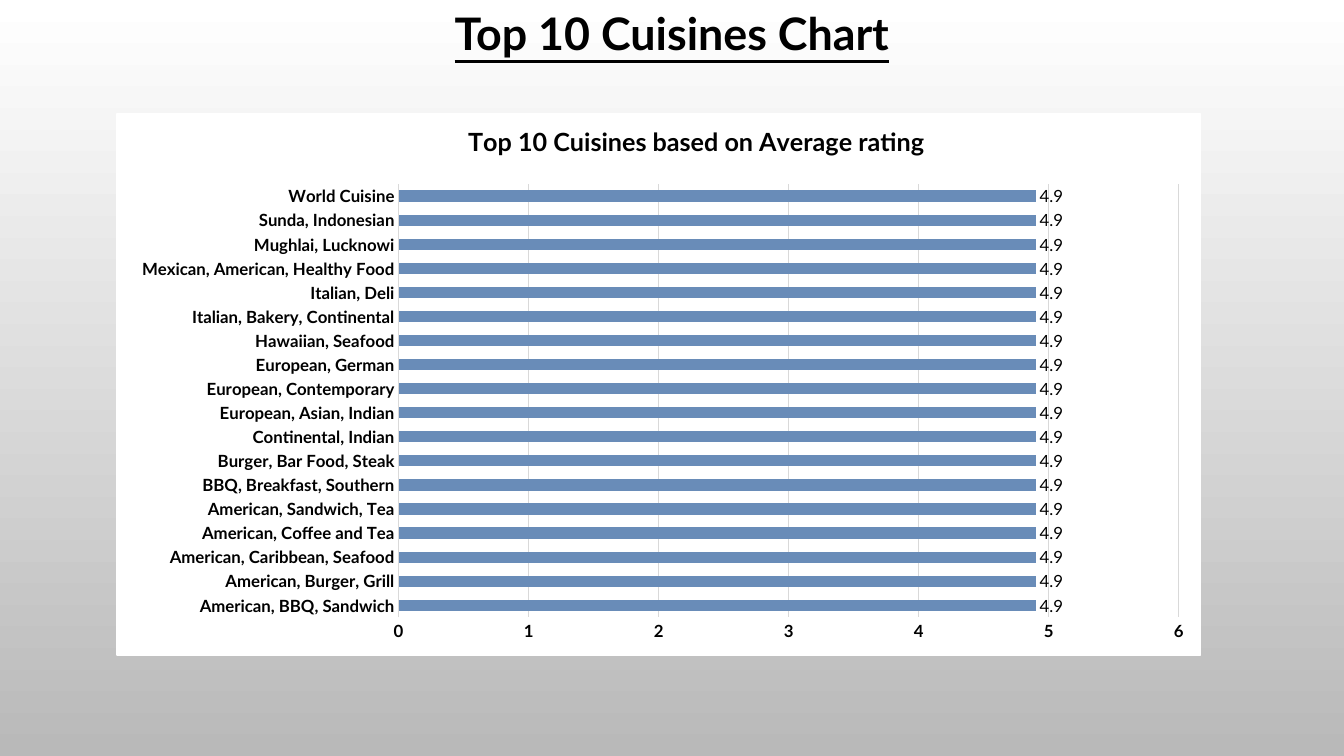
"""Build a slide with a bar chart of the best rated cuisines."""
from dataclasses import dataclass

import pptx
import pptx.chart.axis
import pptx.chart.data
import pptx.dml.color
import pptx.dml.fill
import pptx.enum.chart
import pptx.enum.text
import pptx.oxml
import pptx.oxml.ns
import pptx.oxml.xmlchemy
import pptx.slide
import pptx.text.text
import pptx.util

Pt = pptx.util.Pt
FACE = "Lato"
BLACK, WHITE, GREY, BLUE = "000000", "FFFFFF", "D9D9D9", "698CB8"
RATING = 4.9
FOODS = (
    "American, BBQ, Sandwich",
    "American, Burger, Grill",
    "American, Caribbean, Seafood",
    "American, Coffee and Tea",
    "American, Sandwich, Tea",
    "BBQ, Breakfast, Southern",
    "Burger, Bar Food, Steak",
    "Continental, Indian",
    "European, Asian, Indian",
    "European, Contemporary",
    "European, German",
    "Hawaiian, Seafood",
    "Italian, Bakery, Continental",
    "Italian, Deli",
    "Mexican, American, Healthy Food",
    "Mughlai, Lucknowi",
    "Sunda, Indonesian",
    "World Cuisine",
)


@dataclass(frozen=True)
class Scale:
    axis: pptx.chart.axis._BaseAxis
    grid: bool
    line: bool


@dataclass(frozen=True)
class Place:
    owner: str
    index: int
    box: dict[str, float]
    inner: bool = False


PLACES = (
    Place("c:chart/c:title", 1, {"x": 0.32, "y": 0.01}),
    Place("c:chart/c:plotArea", 0,
          {"x": 0.26, "y": 0.13, "w": 0.72, "h": 0.8}, True),
)


def hue(code: str) -> pptx.dml.color.RGBColor:
    return pptx.dml.color.RGBColor.from_string(code)


def paint(fill: pptx.dml.fill.FillFormat, code: str) -> None:
    fill.solid()
    fill.fore_color.rgb = hue(code)


def style(font: pptx.text.text.Font, size: float, bold: bool = False) -> None:
    font.name = FACE
    font.size = Pt(size)
    font.bold = bold
    font.color.rgb = hue(BLACK)


def draw_scale(scale: Scale) -> None:
    axis = scale.axis
    axis.major_tick_mark = axis.minor_tick_mark = pptx.enum.chart.XL_TICK_MARK.NONE
    style(axis.tick_labels.font, 12, True)
    axis.has_major_gridlines = scale.grid
    if scale.grid:
        rule = axis.major_gridlines.format.line
        paint(rule.fill, GREY)
        rule.width = Pt(0.75)
    if scale.line:
        paint(axis.format.line.fill, GREY)
        axis.format.line.width = Pt(1)
    else:
        axis.format.line.fill.background()


def set_place(root: pptx.oxml.xmlchemy.BaseOxmlElement, place: Place) -> None:
    owner = root.xpath(place.owner)[0]
    for old in owner.xpath("c:layout"):
        owner.remove(old)
    target = '<c:layoutTarget val="inner"/>' if place.inner else ""
    modes = "".join(f'<c:{k}Mode val="edge"/>' for k in "xy")
    sizes = "".join(f'<c:{k} val="{v}"/>' for k, v in place.box.items())
    owner.insert(place.index, pptx.oxml.parse_xml(
        f'<c:layout {pptx.oxml.ns.nsdecls("c")}><c:manualLayout>'
        f"{target}{modes}{sizes}</c:manualLayout></c:layout>"))


def set_panel(root: pptx.oxml.xmlchemy.BaseOxmlElement) -> None:
    fill = f'<a:solidFill><a:srgbClr val="{WHITE}"/></a:solidFill>'
    root.xpath("c:chart")[0].addnext(pptx.oxml.parse_xml(
        f'<c:spPr {pptx.oxml.ns.nsdecls("c", "a")}>{fill}'
        f'<a:ln w="{Pt(1.25)}">{fill}</a:ln></c:spPr>'))


def draw_head(slide: pptx.slide.Slide) -> None:
    head = slide.shapes.title
    head.left, head.top, head.width, head.height = Pt(0), Pt(0), Pt(960), Pt(46)
    frame = head.text_frame
    frame.text = "Top 10 Cuisines Chart"
    frame.vertical_anchor = pptx.enum.text.MSO_ANCHOR.MIDDLE
    frame.auto_size = pptx.enum.text.MSO_AUTO_SIZE.SHAPE_TO_FIT_TEXT
    line = frame.paragraphs[0]
    line.alignment = pptx.enum.text.PP_ALIGN.CENTER
    style(line.font, 32, True)
    line.font.underline = True


def draw_chart(slide: pptx.slide.Slide) -> None:
    data = pptx.chart.data.CategoryChartData()
    data.categories = FOODS
    data.add_series("Series 1", [RATING] * len(FOODS))
    chart = slide.shapes.add_chart(
        pptx.enum.chart.XL_CHART_TYPE.BAR_CLUSTERED,
        Pt(82.8), Pt(80.6), Pt(775.4), Pt(388.1), data).chart
    style(chart.font, 10)
    chart.has_legend = False
    chart.has_title = True
    title = chart.chart_title.text_frame
    title.text = "Top 10 Cuisines based on Average rating"
    style(title.paragraphs[0].font, 18, True)

    values = chart.value_axis
    values.minimum_scale, values.maximum_scale, values.major_unit = 0, 6, 1
    for scale in (Scale(chart.category_axis, False, True),
                  Scale(values, True, False)):
        draw_scale(scale)

    plot = chart.plots[0]
    plot.gap_width, plot.overlap = 115, -20
    plot.vary_by_categories = False
    bars = plot.series[0]
    paint(bars.format.fill, BLUE)
    labels = bars.data_labels
    labels.show_value = True
    labels.position = pptx.enum.chart.XL_LABEL_POSITION.OUTSIDE_END
    style(labels.font, 12)
    for place in PLACES:
        set_place(chart.element, place)
    set_panel(chart.element)


def main() -> None:
    deck = pptx.Presentation()
    deck.slide_width, deck.slide_height = Pt(960), Pt(540)
    slide = deck.slides.add_slide(deck.slide_layouts.get_by_name("Title Only"))
    back = slide.background.fill
    back.gradient()
    back.gradient_angle = 270
    for stop, code in zip(back.gradient_stops, (WHITE, "B9B9B9")):
        stop.color.rgb = hue(code)
    draw_head(slide)
    draw_chart(slide)
    deck.save("out.pptx")


if __name__ == "__main__":
    main()
